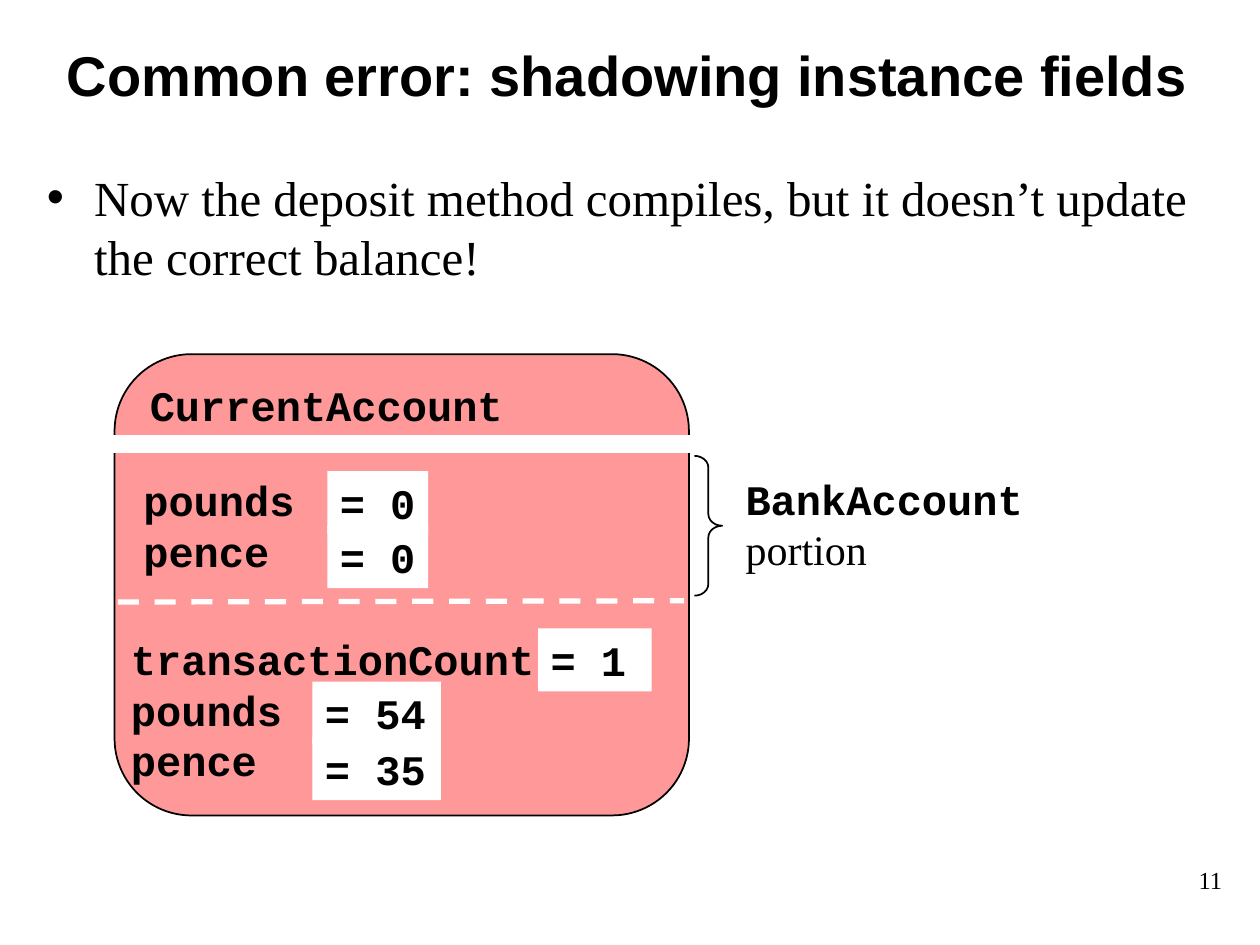
from lxml.etree import SubElement
from pptx import Presentation
from pptx.dml.color import RGBColor
from pptx.enum.dml import MSO_LINE
from pptx.enum.shapes import MSO_CONNECTOR, MSO_SHAPE
from pptx.enum.text import MSO_ANCHOR, MSO_AUTO_SIZE, PP_ALIGN
from pptx.oxml.ns import qn
from pptx.util import Cm, Pt

BLACK, WHITE, PINK = "000000", "FFFFFF", "FF9999"
SERIF, SANS, MONO = "Times New Roman", "Arial", "Courier New"


def rgb(color):
    """Turn a hex string into a colour."""
    return RGBColor.from_string(color)


def set_font(font, name, size, bold=False):
    """Format a paragraph or run font in black."""
    font.name, font.size, font.bold = name, Pt(size), bold
    font.color.rgb = rgb(BLACK)


def place(sp, x, y, w, h):
    """Move and size a shape, in centimetres."""
    sp.left, sp.top, sp.width, sp.height = Cm(x), Cm(y), Cm(w), Cm(h)


def add_text(slide, x, y, w, h, lines, name=MONO, size=24, bold=True, fill=None):
    """Add a text box with one paragraph for each line."""
    sp = slide.shapes.add_textbox(Cm(x), Cm(y), Cm(w), Cm(h))
    if fill:
        sp.fill.solid()
        sp.fill.fore_color.rgb = rgb(fill)
    tf = sp.text_frame
    tf.word_wrap = True
    tf.text = "\n".join(lines)
    for p in tf.paragraphs:
        set_font(p.font, name, size, bold)
    return tf


def add_outline(slide, kind, x, y, w, h, fill=None, line=BLACK):
    """Add a preset shape with a thin line and an optional fill."""
    sp = slide.shapes.add_shape(kind, Cm(x), Cm(y), Cm(w), Cm(h))
    sp.shadow.inherit = False
    if fill:
        sp.fill.solid()
        sp.fill.fore_color.rgb = rgb(fill)
    else:
        sp.fill.background()
    sp.line.color.rgb = rgb(line)
    sp.line.width = Pt(1)
    return sp


def add_heading(slide, text, x, y, w, h):
    """Fill the title placeholder."""
    sp = slide.shapes.title
    place(sp, x, y, w, h)
    tf = sp.text_frame
    tf.text = text
    tf.auto_size = MSO_AUTO_SIZE.NONE
    tf.vertical_anchor = MSO_ANCHOR.MIDDLE
    p = tf.paragraphs[0]
    p.alignment = PP_ALIGN.CENTER
    set_font(p.font, SANS, 32, True)


def add_bullets(slide, items, x, y, w, h):
    """Fill the body placeholder with bulleted items."""
    sp = slide.placeholders[1]
    place(sp, x, y, w, h)
    tf = sp.text_frame
    tf.text = "\n".join(items)
    tf.auto_size = MSO_AUTO_SIZE.NONE
    for p in tf.paragraphs:
        p.space_before = Pt(7)
        set_font(p.font, SERIF, 28)


def add_divider(slide, x1, y1, x2, y2):
    """Draw the dashed line between inherited and own fields."""
    line = slide.shapes.add_connector(
        MSO_CONNECTOR.STRAIGHT, Cm(x1), Cm(y1), Cm(x2), Cm(y2))
    line.line.color.rgb = rgb(WHITE)
    line.line.width = Pt(3)
    line.line.dash_style = MSO_LINE.DASH
    SubElement(line._element.spPr, qn("a:effectLst"))


def add_object(slide, x, y, w, h):
    """Draw the account object with its two groups of fields."""
    add_outline(slide, MSO_SHAPE.ROUNDED_RECTANGLE, x, y, w, h, PINK)
    add_text(slide, x + 0.46, y + 0.38, 7.62, 1.27, ["CurrentAccount"])
    add_outline(slide, MSO_SHAPE.RECTANGLE, x - 0.2, y + 1.65, w + 0.49, 0.33,
                WHITE, WHITE)
    add_divider(slide, x - 1.42, y + 5, x + w - 0.1, y + 4.97)
    add_text(slide, x + 0.33, y + 2.31, 8.86, 2.29, ["pounds", "pence"])
    add_text(slide, x + 0.08, y + 5.51, 8.64, 3.3,
             ["transactionCount", "pounds", "pence"])
    values = [("= 0", 4.29, 2.36, 2.03), ("= 0", 4.29, 3.45, 2.03),
              ("= 1", 8.54, 5.53, 2.29),
              ("= 54", 3.99, 6.6, 2.59), ("= 35", 3.99, 7.72, 2.59)]
    for value, dx, dy, width in values:
        add_text(slide, x + dx, y + dy, width, 1.27, [value], fill=WHITE)


def add_brace_note(slide, x, y, h):
    """Draw a right brace with its label."""
    brace = add_outline(slide, MSO_SHAPE.RIGHT_BRACE, x, y, 0.56, h)
    brace.adjustments[0] = 0.42
    tf = add_text(slide, x + 0.78, y + 0.23, 9.04, 1.27, ["BankAccount "])
    r = tf.paragraphs[0].add_run()
    r.text = "portion"
    set_font(r.font, SERIF, 24)


def add_page_number(slide, number, x, y, w, h):
    """Write the page number at the right of its box."""
    tf = add_text(slide, x, y, w, h, [number], SERIF, 14, False)
    tf.paragraphs[0].alignment = PP_ALIGN.RIGHT


def main():
    """Build and save the slide."""
    prs = Presentation()
    prs.slide_width, prs.slide_height = Cm(25.4), Cm(19.05)
    slide = prs.slides.add_slide(prs.slide_layouts[1])
    add_page_number(slide, "11", 21.31, 17.32, 3.58, 1.27)
    add_heading(slide, "Common error: shadowing instance fields",
                0.38, 0.58, 24.54, 1.83)
    add_bullets(slide, ["Now the deposit method compiles, but it doesn’t "
                        "update the correct balance!"], 0.69, 3.25, 23.5, 4.45)
    add_object(slide, 2.31, 7.14, 11.58, 9.3)
    add_brace_note(slide, 14, 9.19, 2.82)
    prs.save("out.pptx")


main()
